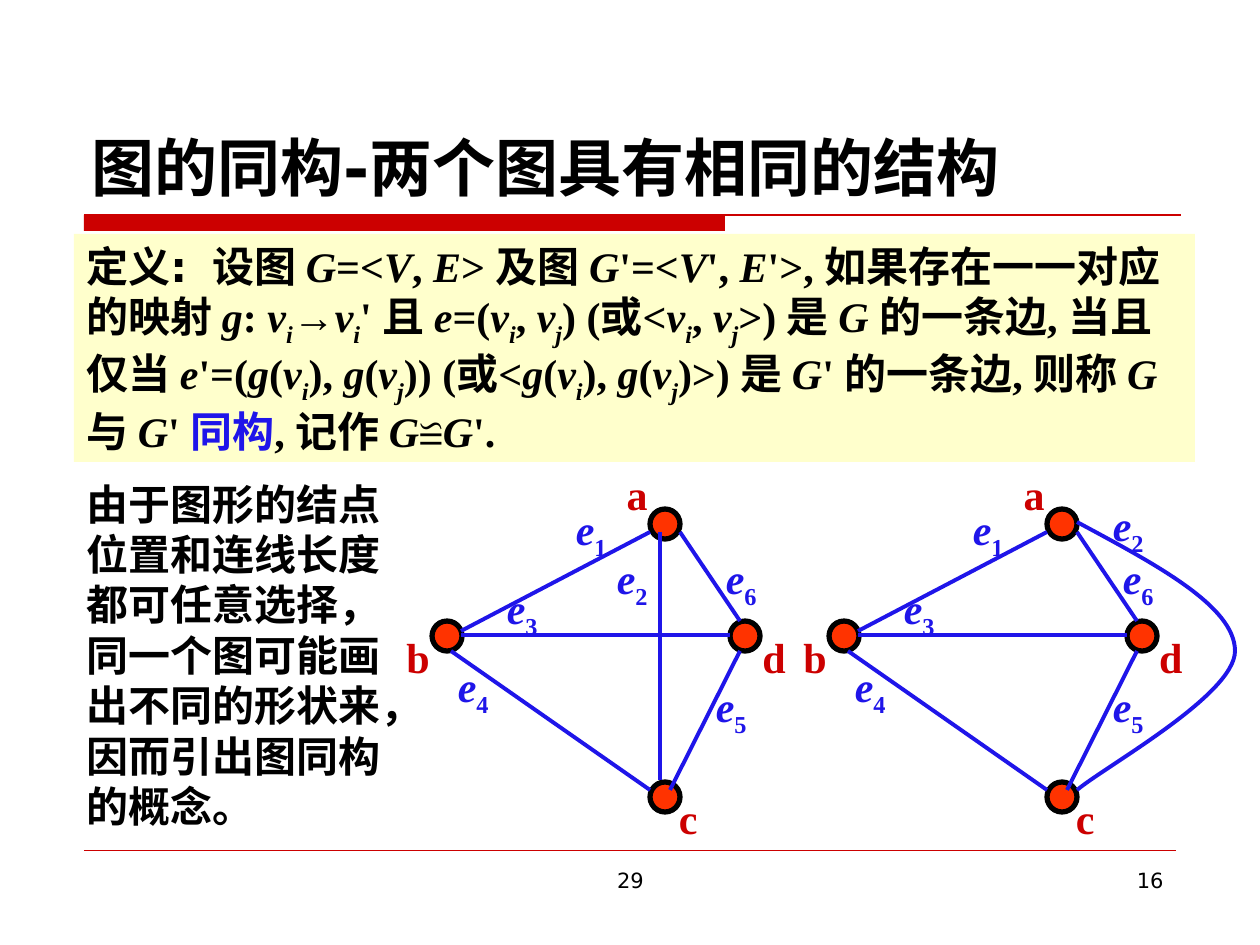
from dataclasses import dataclass
from itertools import groupby

from lxml.etree import SubElement
from pptx import Presentation
from pptx.dml.color import RGBColor
from pptx.enum.shapes import MSO_CONNECTOR as Connector, MSO_SHAPE as Shape
from pptx.enum.text import MSO_ANCHOR as Anchor, MSO_AUTO_SIZE as AutoSize, PP_ALIGN as Align
from pptx.oxml.ns import qn
from pptx.util import Inches, Pt


@dataclass(frozen=True)
class Theme:
    red: RGBColor = RGBColor(0xCC, 0x00, 0x00)
    blue: RGBColor = RGBColor(0x1F, 0x15, 0xE9)
    black: RGBColor = RGBColor(0x00, 0x00, 0x00)
    node: RGBColor = RGBColor(0xFF, 0x33, 0x00)
    panel: RGBColor = RGBColor(0xFF, 0xFF, 0xCC)
    sans: str = "DejaVu Sans"
    serif: str = "Times New Roman"
    arrow: str = "Arial"
    title_size: int = 36
    body_size: int = 24
    footer_size: int = 12
    edge_width: float = 2.25
    node_width: float = 3


theme = Theme()
SCALE = Inches(1) / 126


def px(*lengths):
    return [round(length * SCALE) for length in lengths]


def write(shape, runs, size=theme.body_size, font=theme.serif, color=theme.black,
          bold=True, align=Align.LEFT, spacing=None, fit=AutoSize.SHAPE_TO_FIT_TEXT):
    """Fill one paragraph; each run is (text, overrides of font, color, bold, italic, sub)."""
    frame = shape.text_frame
    frame.word_wrap = True
    frame.auto_size = fit
    paragraph = frame.paragraphs[0]
    paragraph.alignment = align
    paragraph.line_spacing = spacing
    for text, style in runs:
        run = paragraph.add_run()
        run.text = text
        run.font.size = Pt(size)
        run.font.name = style.get("font", font)
        run.font.color.rgb = style.get("color", color)
        run.font.bold = style.get("bold", bold)
        run.font.italic = style.get("italic", False)
        if style.get("sub"):
            run.font._element.set("baseline", "-25000")


presentation = Presentation()
presentation.slide_width, presentation.slide_height = px(1260, 945)
slide = presentation.slides.add_slide(presentation.slide_layouts[5])
shapes = slide.shapes

# Title with its two-weight underline, and the footer rule
title = shapes.title
title.left, title.top, title.width, title.height = px(79, 42, 1103, 168)
title.text_frame.vertical_anchor = Anchor.BOTTOM
write(title, [("图的同构-两个图具有相同的结构", {})],
      size=theme.title_size, font=theme.sans, fit=AutoSize.NONE)

bar = shapes.add_shape(Shape.RECTANGLE, *px(84, 215, 641, 16))
bar.shadow.inherit = False
bar.fill.solid()
bar.fill.fore_color.rgb = theme.red
bar.line.fill.background()

for right, y, width in [(1181, 215, 0.75), (1176, 850, 0.25)]:
    rule = shapes.add_connector(Connector.STRAIGHT, *px(84, y, right, y))
    rule.line.color.rgb = theme.red
    rule.line.width = Pt(width)
    SubElement(rule._element.spPr, qn("a:effectLst"))

for text, left, width, align in [("29", 431, 399, Align.CENTER), ("16", 903, 273, Align.RIGHT)]:
    footer = shapes.add_textbox(*px(left, 861, width, 66))
    write(footer, [(text, {})], size=theme.footer_size, font=theme.sans,
          bold=False, align=align, fit=AutoSize.NONE)

# Definition: variables are italic, the indices i and j are subscripts
definition = (
    "定义:\t设图 G=<V, E> 及图 G'=<V', E'>, 如果存在一一对应的映射 g: vi→vi' 且 "
    "e=(vi, vj) (或<vi, vj>) 是 G 的一条边, 当且仅当 e'=(g(vi), g(vj)) "
    "(或<g(vi), g(vj)>) 是 G' 的一条边, 则称 G与 G' 同构, 记作 G≌G'."
)


def character_style(character):
    if character in "ij":
        return {"italic": True, "sub": True}
    if character.isascii() and character.isalpha():
        return {"italic": True}
    if character in "同构":
        return {"color": theme.blue}
    if character == "→":
        return {"font": theme.arrow, "bold": False}
    return {"font": theme.sans} if character in ":\t" and character else {}


head, body = definition.split("\t")
panel = shapes.add_shape(Shape.RECTANGLE, *px(74, 234, 1121, 228))
panel.shadow.inherit = False
panel.fill.solid()
panel.fill.fore_color.rgb = theme.panel
panel.line.fill.background()
panel.text_frame.vertical_anchor = Anchor.TOP
heading_runs = [(head[:-1], {}), (head[-1] + "\t", {"font": theme.sans})]
body_runs = [("".join(group), style) for style, group in
             groupby(body.replace(":", "\v"), key=character_style)]
body_runs = [(text.replace("\v", ":"), style) for text, style in body_runs]
write(panel, heading_runs + body_runs)

remark = shapes.add_textbox(*px(74, 472, 328, 365))
write(remark, [("由于图形的结点位置和连线长度都可任意选择，同一个图可能画出不同的形状来，"
                "因而引出图同构的概念。", {})])

# The two drawings of one graph differ only in the edge e2
NODE_SIZE = 30
GRAPH_STEP = 397
nodes = {  # name: (circle left, top), (label left, top)
    "c": ((650, 782), (650, 796)),
    "a": ((650, 509), (600, 472)),
    "b": ((432, 621), (382, 635)),
    "d": ((730, 621), (738, 635)),
}
shared_edges = {  # index: (start, end), (label left, top)
    "1": ((650, 532, 461, 631), (559, 503)),
    "4": ((451, 651, 650, 790), (441, 660)),
    "3": ((461, 635, 730, 635), (490, 582)),
    "5": ((740, 651, 670, 790), (699, 680)),
    "6": ((680, 532, 740, 621), (709, 552)),
}
straight_e2 = ((660, 532, 660, 780), (600, 552))
curved_e2 = (None, (699, 499))
curve_points = [(680, 522), (758, 564), (838, 606), (838, 651),
                (838, 695), (707, 767), (680, 790)]

for shift, second_edge in [(GRAPH_STEP, curved_e2), (0, straight_e2)]:
    graph = shapes.add_group_shape().shapes
    for name, ((left, top), (label_left, label_top)) in nodes.items():
        node = graph.add_shape(Shape.FLOWCHART_CONNECTOR,
                               *px(left + shift, top, NODE_SIZE, NODE_SIZE))
        node.shadow.inherit = False
        node.fill.solid()
        node.fill.fore_color.rgb = theme.node
        node.line.color.rgb = theme.black
        node.line.width = Pt(theme.node_width)
        label = graph.add_textbox(*px(label_left + shift, label_top, 60, 53))
        write(label, [(name, {})], color=theme.red, align=Align.RIGHT, spacing=0.8)

    for index, (ends, (label_left, label_top)) in {**shared_edges, "2": second_edge}.items():
        if ends:
            x1, y1, x2, y2 = ends
            edge = graph.add_connector(Connector.STRAIGHT, *px(x1 + shift, y1, x2 + shift, y2))
            SubElement(edge._element.spPr, qn("a:effectLst"))
        else:
            start, *controls = [(x + shift, y) for x, y in curve_points]
            builder = graph.build_freeform(*start, scale=SCALE)
            builder.add_line_segments(controls, close=False)
            edge = builder.convert_to_shape()
            edge.shadow.inherit = False
            edge.fill.background()
            # Each three line segments become one Bézier segment
            outline = edge._element.find(".//" + qn("a:path"))
            segments = outline.findall(qn("a:lnTo"))
            for first in range(0, len(segments), 3):
                bezier = SubElement(outline, qn("a:cubicBezTo"))
                for segment in segments[first:first + 3]:
                    bezier.append(segment[0])
                    outline.remove(segment)
        edge.line.color.rgb = theme.blue
        edge.line.width = Pt(theme.edge_width)
        label = graph.add_textbox(*px(label_left + shift, label_top, 60, 59))
        write(label, [("e", {"italic": True}), (index, {"sub": True})],
              color=theme.blue, align=Align.RIGHT, spacing=0.8)

presentation.save("out.pptx")
